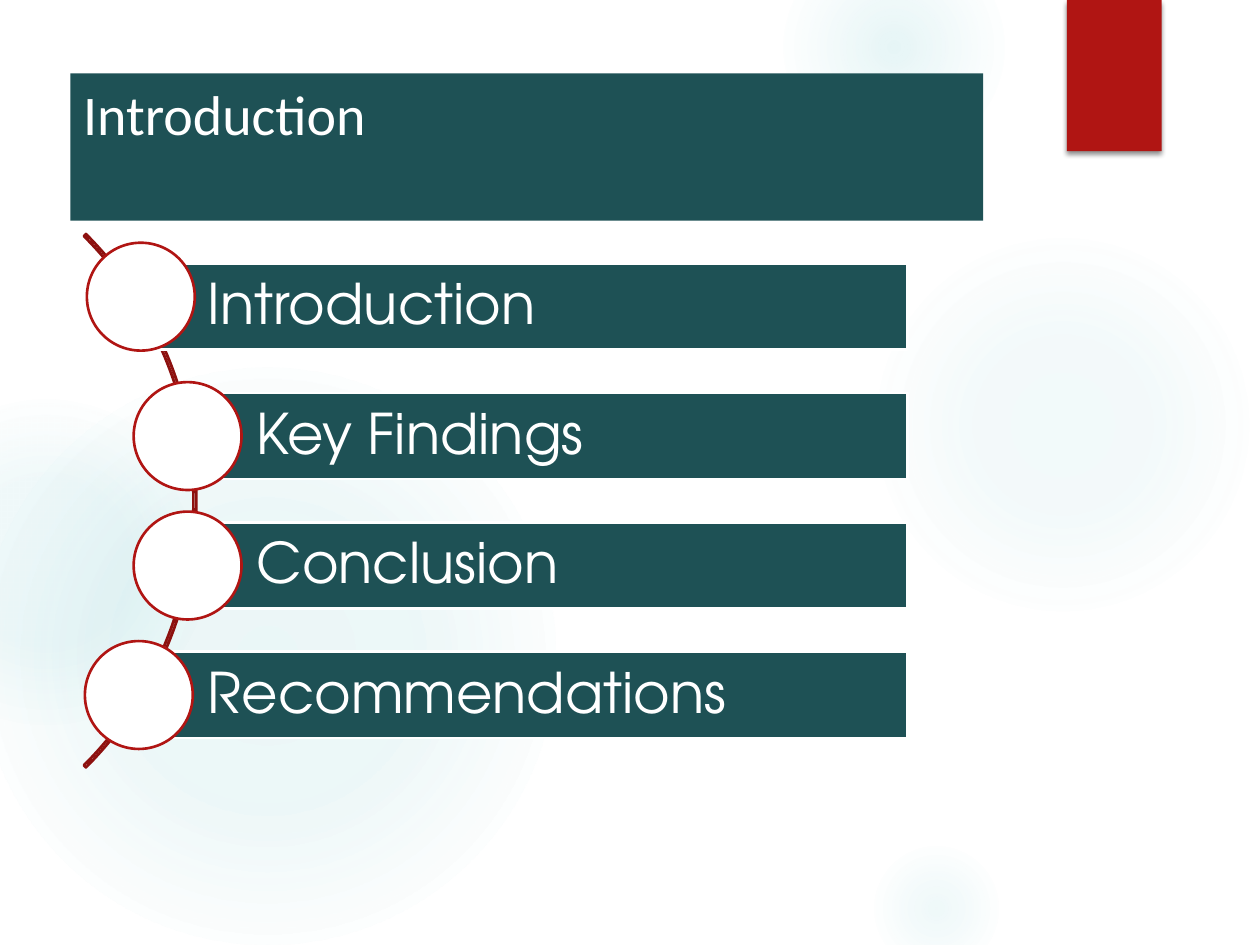
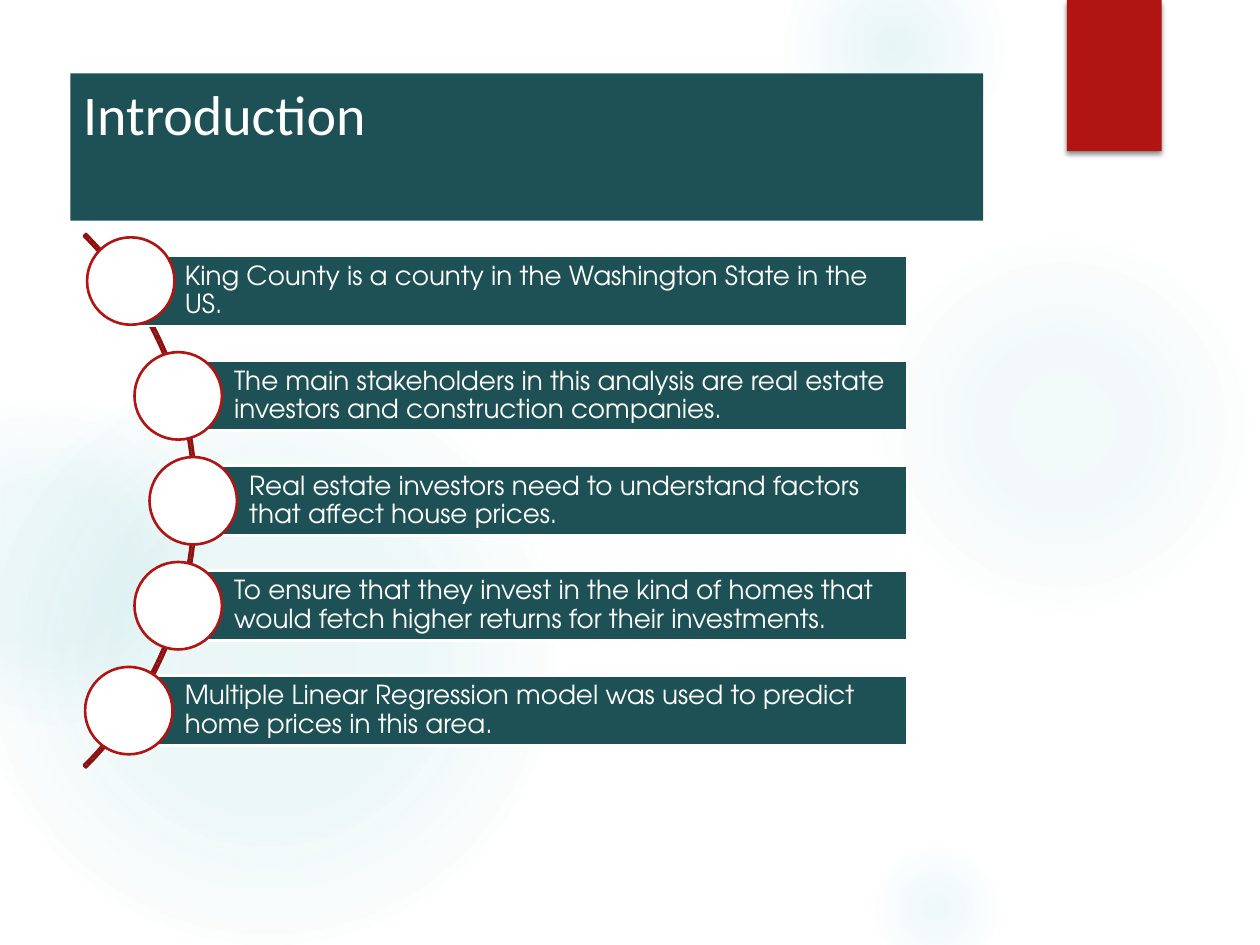
import math

import pptx
import pptx.dml.color
import pptx.enum.shapes
import pptx.enum.text
import pptx.oxml
import pptx.oxml.ns
import pptx.util
from pptx.util import Cm

COLORS = {
    "band": "1E5155",
    "accent": "B01513",
    "arc": "8D110F",
    "glow": "50B9C1",
    "shadow": "000000",
    "white": "FFFFFF",
}
TITLE_FONT = "Calibri"
BODY_FONT = "TeX Gyre Adventor"
SHAPES = pptx.enum.shapes.MSO_SHAPE
ANCHORS = pptx.enum.text.MSO_ANCHOR

# Left, top, diameter in cm, then (position %, opacity %) of each colour stop
GLOWS = [
    (17.5, 4.65, 7.82, [(0, 7), (36, 6), (69, 0)]),
    (15.8, -1.27, 4.45, [(0, 14), (36, 7), (73, 0)]),
    (17.5, 16.94, 2.74, [(0, 9), (36, 5), (66, 0)]),
    (-0.43, 7.42, 11.63, [(0, 11), (36, 10), (75, 0)]),
    (-2.34, 8.05, 6.55, [(0, 8), (36, 8), (72, 0)]),
]

# Arc and list geometry in cm
ARC_LEFT, ARC_TOP, ARC_SIZE = -11.25, 2.49, 15.21
ARC_X, ARC_Y = ARC_LEFT + ARC_SIZE / 2, ARC_TOP + ARC_SIZE / 2
BULLET_RADIUS = 7.54
BARS_RIGHT = 18.29

AGENDA = ["Introduction", "Key Findings", "Conclusion", "Recommendations"]
BACKGROUND = [
    "King County is a county in the Washington State in the US.",
    "The main stakeholders in this analysis are real estate investors and construction companies.",
    "Real estate investors need to understand factors that affect house prices.",
    "To ensure that they invest in the kind of homes that would fetch higher returns "
    "for their investments.",
    "Multiple Linear Regression model was used to predict home prices in this area.",
]


def rgb(name):
    return pptx.dml.color.RGBColor.from_string(COLORS[name])


def drawing_xml(tag, content):
    return pptx.oxml.parse_xml(
        f'<a:{tag} {pptx.oxml.ns.nsdecls("a")}>{content}</a:{tag}>')


class Deck:
    def __init__(self):
        self.prs = pptx.Presentation()
        self.prs.slide_width, self.prs.slide_height = Cm(25.4), Cm(19.05)
        self.layout = self.prs.slide_layouts.get_by_name("Title Only")
        self.slide = None

    def add_slide(self, title):
        self.slide = self.prs.slides.add_slide(self.layout)
        band = self.slide.shapes.title
        band.left, band.top, band.width, band.height = Cm(1.42), Cm(1.48), Cm(18.4), Cm(2.97)
        band.fill.solid()
        band.fill.fore_color.rgb = rgb("band")
        self.add_text(band, title, 32, TITLE_FONT, ANCHORS.TOP)

    def add_text(self, shape, text, size, font, anchor):
        frame = shape.text_frame
        frame.word_wrap = True
        frame.auto_size = pptx.enum.text.MSO_AUTO_SIZE.NONE
        frame.vertical_anchor = anchor
        paragraph = frame.paragraphs[0]
        paragraph.alignment = pptx.enum.text.PP_ALIGN.LEFT
        run = paragraph.add_run()
        run.text = text
        run.font.size = pptx.util.Pt(size)
        run.font.name = font
        run.font.color.rgb = rgb("white")
        return paragraph

    def shape(self, kind, left, top, width, height, fill=None, line=None, parent=None):
        shapes = (parent or self.slide).shapes
        shape = shapes.add_shape(kind, Cm(left), Cm(top), Cm(width), Cm(height))
        shape.shadow.inherit = False
        if fill:
            shape.fill.solid()
            shape.fill.fore_color.rgb = rgb(fill)
        else:
            shape.fill.background()
        if line:
            shape.line.color.rgb = rgb(line)
            shape.line.width = pptx.util.Pt(1.5)
        else:
            shape.line.fill.background()
        return shape

    def glow(self, left, top, diameter, stops):
        disc = self.shape(SHAPES.OVAL, left, top, diameter, diameter)
        stop_list = "".join(
            f'<a:gs pos="{position * 1000}"><a:srgbClr val="{COLORS["glow"]}">'
            f'<a:alpha val="{opacity * 1000}"/></a:srgbClr></a:gs>'
            for position, opacity in stops)
        gradient = drawing_xml(
            "gradFill",
            f'<a:gsLst>{stop_list}</a:gsLst><a:path path="circle">'
            '<a:fillToRect l="50000" t="50000" r="50000" b="50000"/></a:path>')
        properties = disc._element.spPr
        properties.replace(properties.find(pptx.oxml.ns.qn("a:noFill")), gradient)
        return disc

    def corner_tab(self):
        tab = self.shape(SHAPES.RECTANGLE, 21.51, 0, 1.91, 3.05, "accent")
        properties = tab._element.spPr
        shadow = drawing_xml(
            "effectLst",
            '<a:outerShdw blurRad="38100" dist="25400" dir="5400000" rotWithShape="0">'
            f'<a:srgbClr val="{COLORS["shadow"]}"><a:alpha val="45000"/></a:srgbClr>'
            '</a:outerShdw>')
        properties.replace(properties.find(pptx.oxml.ns.qn("a:effectLst")), shadow)
        return tab

    def decorate_layout(self):
        """Draw the shared decoration on the current slide and move it to the layout."""
        decoration = [self.glow(*glow) for glow in GLOWS] + [self.corner_tab()]
        for number, part in enumerate(decoration, start=101):
            part._element.nvSpPr.cNvPr.set("id", str(number))
            self.layout.shapes._spTree.append(part._element)

    def curved_list(self, items, bar_height, size, margin):
        """Bars whose left ends, each with a circle, follow an arc."""
        group = self.slide.shapes.add_group_shape()
        arc = self.shape(SHAPES.BLOCK_ARC, ARC_LEFT, ARC_TOP, ARC_SIZE, ARC_SIZE,
                         line="arc", parent=group)
        for index, value in enumerate((189, 27, 0.004)):
            arc.adjustments[index] = value

        pitch, diameter = 1.5 * bar_height, 1.25 * bar_height
        for index, item in enumerate(items):
            offset = (index - (len(items) - 1) / 2) * pitch
            x = ARC_X + math.sqrt(BULLET_RADIUS ** 2 - offset ** 2)
            y = ARC_Y + offset
            bar = self.shape(SHAPES.RECTANGLE, x, y - bar_height / 2, BARS_RIGHT - x,
                             bar_height, "band", "white", group)
            frame = bar.text_frame
            frame.margin_left = Cm(0.8 * bar_height)
            frame.margin_top = frame.margin_right = frame.margin_bottom = Cm(margin)
            self.add_text(bar, item, size, BODY_FONT, ANCHORS.MIDDLE).line_spacing = 0.9

            # The first circle sits slightly above its bar
            shift_x, shift_y = (0.04, -0.2) if index == 0 else (0, 0)
            self.shape(SHAPES.OVAL, x - diameter / 2 + shift_x, y - diameter / 2 + shift_y,
                       diameter, diameter, "white", "accent", group)


def main():
    deck = Deck()
    deck.add_slide("Introduction")
    deck.decorate_layout()
    deck.curved_list(AGENDA, bar_height=1.74, size=32, margin=0.23)

    deck.add_slide("Introduction")
    deck.curved_list(BACKGROUND, bar_height=1.41, size=15, margin=0.1)
    deck.prs.save("out.pptx")


if __name__ == "__main__":
    main()
